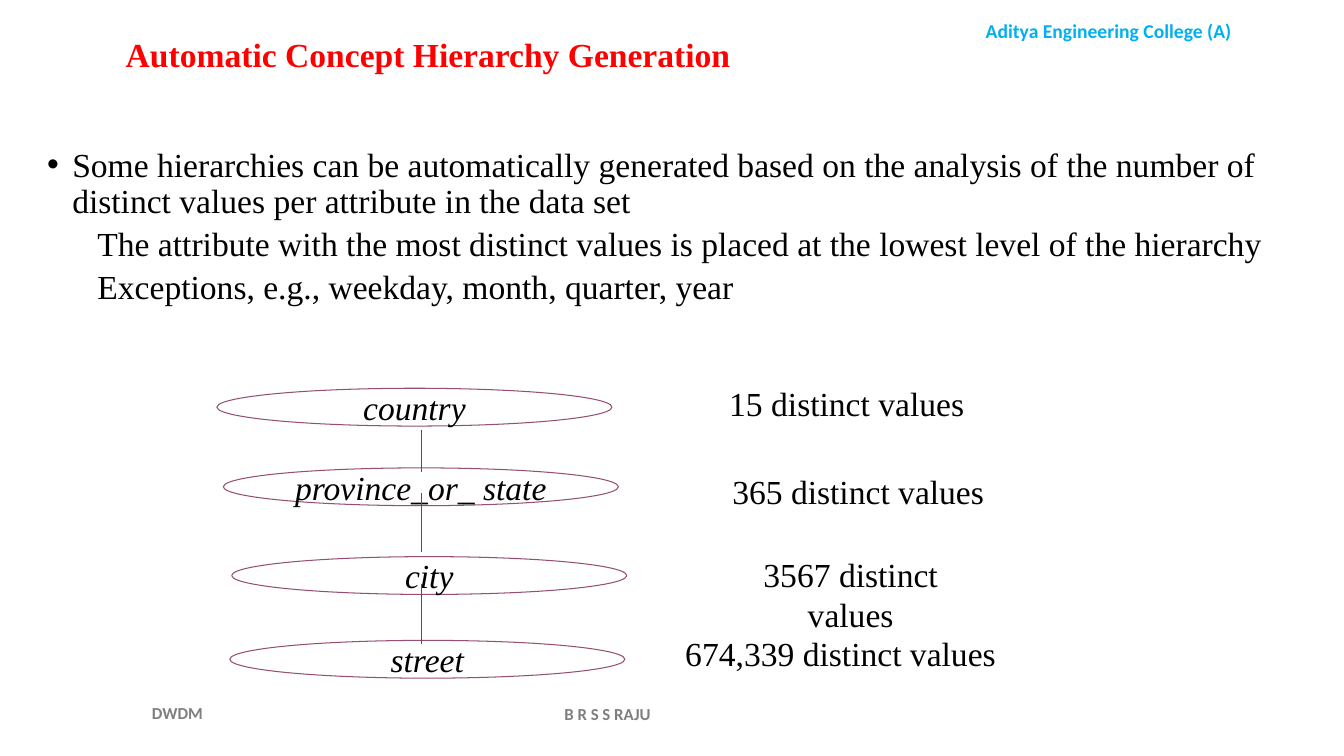
from lxml import etree
from pptx import Presentation
from pptx.dml.color import RGBColor
from pptx.enum.shapes import MSO_CONNECTOR as Connector, MSO_SHAPE as Shape
from pptx.enum.text import MSO_ANCHOR as Anchor, MSO_AUTO_SIZE as AutoSize, PP_ALIGN as Align
from pptx.oxml.ns import qn
from pptx.util import Pt

COLORS = {"ink": "000000", "title": "FF0000", "college": "00B0F0",
          "footer": "7F7F7F", "oval": "954F72", "link": "44546A"}
SERIF, SANS = "Times New Roman", "Calibri"


def color(name):
    return RGBColor.from_string(COLORS[name])


class HierarchySlide:
    body = {"name": SERIF, "size": Pt(24)}
    title = {**body, "bold": True}
    level_name = {**body, "italic": True}
    header = {"name": SANS, "size": Pt(14), "bold": True}
    footer = {"name": SANS, "size": Pt(12), "bold": True}
    line_width = Pt(0.75)

    def __init__(self, deck):
        self.shapes = deck.slides.add_slide(deck.slide_layouts[6]).shapes

    def add_words(self, paragraph, words, style, ink="ink", **layout):
        run = paragraph.add_run()
        run.text = words
        for key, value in style.items():
            setattr(run.font, key, value)
        run.font.color.rgb = color(ink)
        for key, value in layout.items():
            setattr(paragraph, key, value)

    def frame(self, box, **settings):
        frame = self.shapes.add_textbox(*map(Pt, box)).text_frame
        for key, value in {"word_wrap": True, **settings}.items():
            setattr(frame, key, value)
        return frame

    def text(self, box, words, style, ink="ink", layout=None, **settings):
        frame = self.frame(box, **settings)
        self.add_words(frame.paragraphs[0], words, style, ink, **(layout or {}))

    def outline(self, box, point, details):
        """One bulleted point followed by indented, unbulleted details."""
        frame = self.frame(box)
        lead = frame.paragraphs[0]
        props = lead._p.get_or_add_pPr()
        props.set("marL", str(Pt(18)))
        props.set("indent", str(-Pt(18)))
        lead.line_spacing = 0.9
        etree.SubElement(props, qn("a:buFont")).set("typeface", "Arial")
        etree.SubElement(props, qn("a:buChar")).set("char", "•")
        self.add_words(lead, point, self.body)
        for detail in details:
            paragraph = frame.add_paragraph()
            paragraph._p.get_or_add_pPr().set("marL", str(Pt(36)))
            self.add_words(paragraph, detail, self.body, level=1,
                           line_spacing=0.9, space_before=Pt(5))

    def oval(self, box, words):
        oval = self.shapes.add_shape(Shape.OVAL, *map(Pt, box))
        oval.shadow.inherit = False
        oval.fill.background()
        oval.line.color.rgb = color("oval")
        oval.line.width = self.line_width
        frame = oval.text_frame
        frame.word_wrap = False
        frame.vertical_anchor = Anchor.MIDDLE
        self.add_words(frame.paragraphs[0], words, self.level_name, alignment=Align.CENTER)

    def vertical_link(self, x, top, bottom):
        link = self.shapes.add_connector(Connector.STRAIGHT, Pt(x), Pt(top), Pt(x), Pt(bottom))
        link.line.color.rgb = color("link")
        link.line.width = self.line_width
        etree.SubElement(link._element.spPr, qn("a:effectLst"))


def main():
    deck = Presentation()
    deck.slide_width, deck.slide_height = Pt(960.5), Pt(540)
    slide = HierarchySlide(deck)
    centered = {"alignment": Align.CENTER}

    slide.text((654.5, 10, 275.8, 24.5), "Aditya Engineering College (A)",
               slide.header, "college", centered)
    slide.text((101.5, 494.6, 109, 28.8), "DWDM", slide.footer, "footer",
               vertical_anchor=Anchor.MIDDLE)
    slide.text((326.2, 495.4, 216, 28.8), "B R S S RAJU", slide.footer, "footer",
               centered, vertical_anchor=Anchor.MIDDLE)
    slide.text((82.8, 23.8, 476, 41.8), "Automatic Concept Hierarchy Generation",
               slide.title, "title", {"line_spacing": 0.9})
    slide.outline(
        (26.6, 102.2, 918.7, 131.8),
        "Some hierarchies can be automatically generated based on the analysis "
        "of the number of distinct values per attribute in the data set",
        ["The attribute with the most distinct values is placed at the lowest "
         "level of the hierarchy",
         "Exceptions, e.g., weekday, month, quarter, year"])

    # level name, oval left and top, count, count left, top and width
    levels = [
        ("country", 155, 277.3, "15", 514, 270, 182.2),
        ("province_or_ state", 159.6, 334.2, "365", 515, 332.8, 196.6),
        ("city", 165.6, 397.6, "3567", 504.9, 391.8, 206),
        ("street", 164.2, 457.4, "674,339", 482.6, 448.8, 236.2),
    ]
    for name, left, top, *_ in levels:
        slide.oval((left, top, 282.4, 27), name)
    for top, bottom in [(307.4, 337), (352, 394.6), (417, 460)]:
        slide.vertical_link(301, top, bottom)
    for *_, count, left, top, width in levels:
        slide.text((left, top, width, 36), f"{count} distinct values", slide.body,
                   layout=centered, word_wrap=False,
                   auto_size=AutoSize.SHAPE_TO_FIT_TEXT)

    deck.save("out.pptx")


if __name__ == "__main__":
    main()
